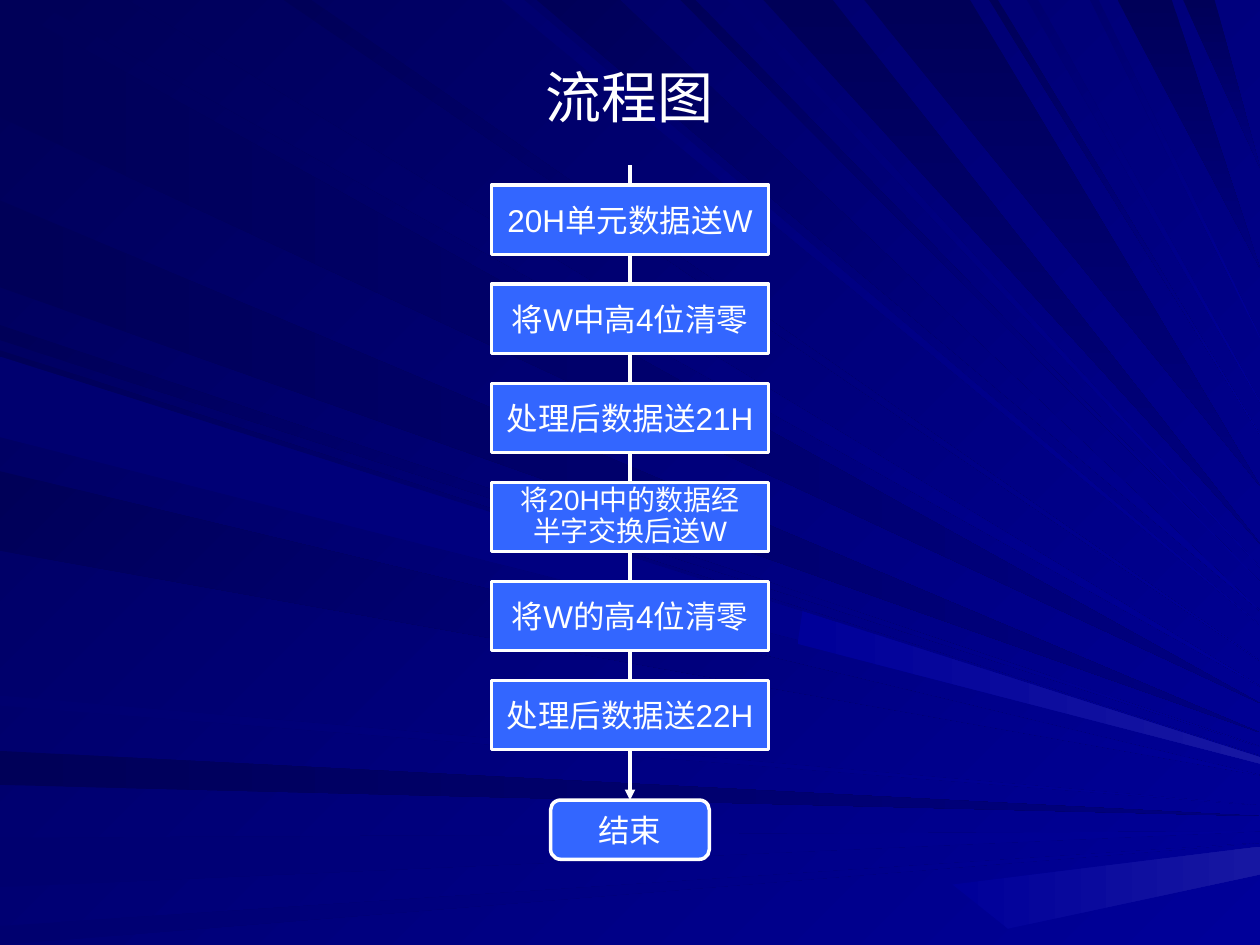
from dataclasses import dataclass

from lxml import etree
from pptx import Presentation
from pptx import util as u
from pptx.dml.color import RGBColor
from pptx.enum import shapes, text
from pptx.oxml.ns import qn


@dataclass(frozen=True)
class Theme:
    font: str = "Arial"
    white: str = "FFFFFF"
    box_fill: str = "3366FF"
    night: str = "000058"
    dusk: str = "00006F"
    navy: str = "000080"
    royal: str = "000099"
    glow: str = "1717A2"
    title_size: int = 32
    step_size: int = 18
    small_size: int = 16
    line_width: int = 2


THEME = Theme()
PAGE_WIDTH, PAGE_HEIGHT = 10, 7.5
CENTER_X = PAGE_WIDTH / 2
STEP_WIDTH, STEP_HEIGHT = 2.2, 0.55
FIRST_STEP_TOP, LAST_STEP_TOP = 1.47, 5.4
STEPS = [
    ["20H单元数据送W"],
    ["将W中高4位清零"],
    ["处理后数据送21H"],
    ["将20H中的数据经", "半字交换后送W"],
    ["将W的高4位清零"],
    ["处理后数据送22H"],
]

# All rays aim at one focus beyond the right edge
FOCUS_X, FOCUS_Y = 11.9, 6.55

# Ray groups: edge, start colour, end colour, clockwise angle, spans on the edge
RAY_GROUPS = [
    ("left", THEME.night, THEME.navy, 0, [(0.02, 0.93), (1.59, 2.28), (5.96, 6.23)]),
    ("top", THEME.night, THEME.royal, 45,
     [(0.26, 1.01), (2.25, 2.47), (4.26, 4.92), (5.4, 5.52), (7.85, 7.92)]),
    ("top", THEME.night, THEME.navy, 90,
     [(6.06, 6.61), (6.86, 7.7), (8.87, 9.3), (9.39, 9.64)]),
    ("left", THEME.night, THEME.royal, 45, [(2.58, 2.7), (2.78, 3.42), (3.74, 4.37)]),
    ("top", THEME.dusk, THEME.royal, 45,
     [(3.98, 4.16), (5.77, 5.88), (8.15, 8.24), (8.65, 8.72)]),
    ("left", THEME.dusk, THEME.royal, 0,
     [(2.83, 3.47), (5.52, 5.6), (6.65, 7.04), (7.35, 7.5)]),
]
GLOWS = [
    [(6.37, 4.85), (6.33, 5.11), (10, 6.06), (10, 6.01)],
    [(7.56, 7.02), (8, 7.37), (10, 6.94), (10, 6.72)],
]


def paint(fill, start, end=None, angle=0):
    """Fill with one colour, or with a gradient at a clockwise angle."""
    if end is None:
        fill.solid()
        fill.fore_color.rgb = RGBColor.from_string(start)
        return
    fill.gradient()
    fill.gradient_angle = (360 - angle) % 360
    for stop, color in zip(fill.gradient_stops, (start, end)):
        stop.color.rgb = RGBColor.from_string(color)


def draw_line_style(line):
    line.color.rgb = RGBColor.from_string(THEME.white)
    line.width = u.Pt(THEME.line_width)


def write(frame, lines, size, spacing=None, wrap=False):
    """Write centred paragraphs into a text frame."""
    frame.word_wrap = wrap
    frame.vertical_anchor = text.MSO_ANCHOR.MIDDLE
    for index, line in enumerate(lines):
        para = frame.add_paragraph() if index else frame.paragraphs[0]
        para.alignment = text.PP_ALIGN.CENTER
        para.space_before = u.Pt(0)
        if spacing:
            para.line_spacing = spacing
        span = para.add_run()
        span.text = line
        span.font.name = THEME.font
        span.font.size = u.Pt(size)
        span.font.color.rgb = RGBColor.from_string(THEME.white)


def ray_corners(edge, span):
    """Two corners on the page edge, and a tip on the right edge towards the focus."""
    base = [(0, place) if edge == "left" else (place, 0) for place in span]
    x, y = (sum(values) / 2 for values in zip(*base))
    tip_y = y + (FOCUS_Y - y) * (PAGE_WIDTH - x) / (FOCUS_X - x)
    return [*base, (PAGE_WIDTH, tip_y)]


def add_ray(group, corners, start, end, angle=0):
    points = [(u.Inches(x), u.Inches(y)) for x, y in corners]
    builder = group.shapes.build_freeform(*points[0])
    builder.add_line_segments(points[1:], close=True)
    ray = builder.convert_to_shape()
    ray.shadow.inherit = False
    ray.line.fill.background()
    paint(ray.fill, start, end, angle)


def add_backdrop(page):
    paint(page.background.fill, THEME.night, THEME.royal, 45)
    group = page.shapes.add_group_shape()
    for edge, start, end, angle, spans in RAY_GROUPS:
        for span in spans:
            add_ray(group, ray_corners(edge, span), start, end, angle)
    for corners in GLOWS:
        add_ray(group, corners, THEME.royal, THEME.glow)


def add_title(page, title):
    box = page.shapes.title
    box.left, box.top = u.Inches(0.5), u.Inches(0.3)
    box.width, box.height = u.Inches(9), u.Inches(0.93)
    write(box.text_frame, [title], THEME.title_size, wrap=True)
    # Bring the title in front of the rays
    page.shapes._spTree.append(box._element)


def add_box(page, kind, top, width, height, lines):
    box = page.shapes.add_shape(kind, u.Inches(CENTER_X - width / 2), u.Inches(top),
                                u.Inches(width), u.Inches(height))
    box.shadow.inherit = False
    paint(box.fill, THEME.box_fill)
    draw_line_style(box.line)
    if len(lines) > 1:
        write(box.text_frame, lines, THEME.small_size, spacing=0.9)
    else:
        write(box.text_frame, lines, THEME.step_size)
    return box


def add_flow_arrow(page, top, target):
    arrow = page.shapes.add_connector(shapes.MSO_CONNECTOR.STRAIGHT, u.Inches(CENTER_X),
                                      u.Inches(top), u.Inches(CENTER_X), target.top)
    arrow.end_connect(target, 0)
    draw_line_style(arrow.line)
    etree.SubElement(arrow.line._get_or_add_ln(), qn("a:tailEnd"), type="triangle")
    etree.SubElement(arrow._element.spPr, qn("a:effectLst"))


def main():
    deck = Presentation()
    deck.slide_width, deck.slide_height = u.Inches(PAGE_WIDTH), u.Inches(PAGE_HEIGHT)
    page = deck.slides.add_slide(deck.slide_layouts[5])

    add_backdrop(page)
    add_title(page, "流程图")

    # Flow: the arrow runs behind the steps to the end box
    kinds = shapes.MSO_SHAPE
    end_box = add_box(page, kinds.FLOWCHART_ALTERNATE_PROCESS, 6.35, 1.26, 0.47, ["结束"])
    add_flow_arrow(page, 1.31, end_box)
    pitch = (LAST_STEP_TOP - FIRST_STEP_TOP) / (len(STEPS) - 1)
    for index, lines in enumerate(STEPS):
        add_box(page, kinds.FLOWCHART_PROCESS, FIRST_STEP_TOP + index * pitch,
                STEP_WIDTH, STEP_HEIGHT, lines)

    deck.save("out.pptx")


if __name__ == "__main__":
    main()
